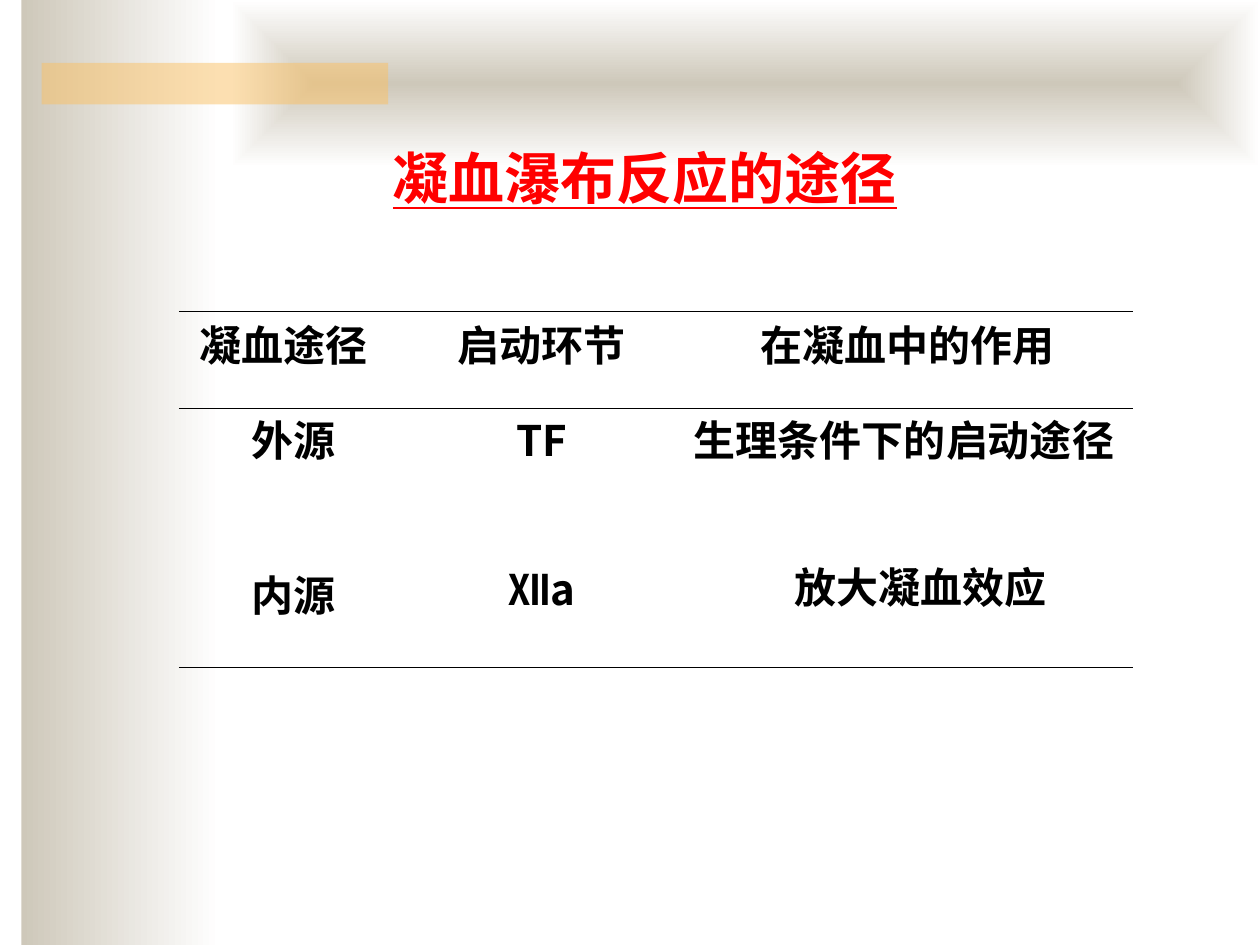
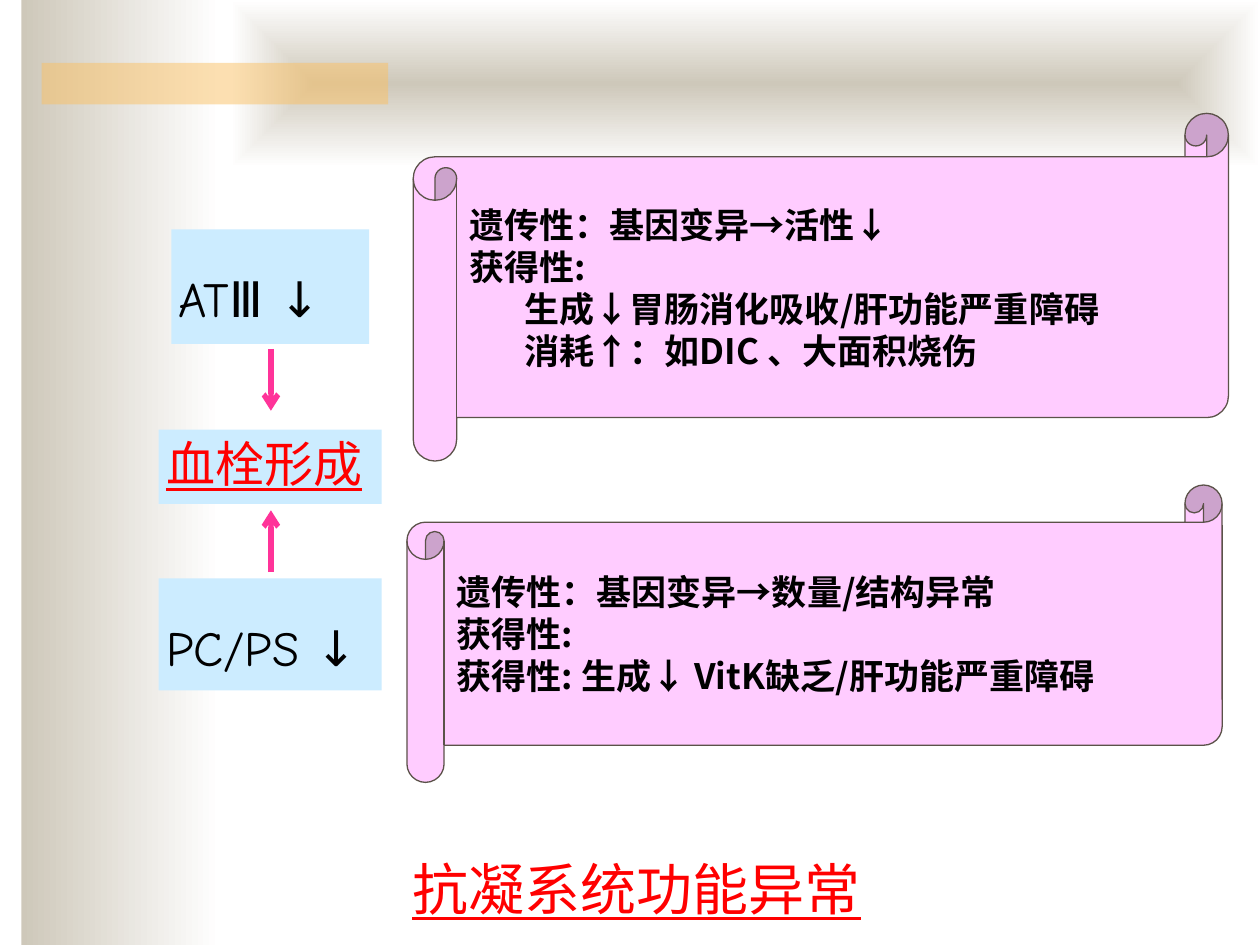
"""Build two slides on coagulation pathways and anticoagulation failure."""
from dataclasses import dataclass, field
from itertools import accumulate
from typing import Any, NamedTuple

from lxml import etree
from pptx import Presentation
from pptx import util as u
from pptx.dml import color
from pptx.enum import shapes, text
from pptx.oxml import ns


class Style(NamedTuple):
    latin: str
    size: int
    color: str
    bold: bool = False
    underline: bool = False


@dataclass(frozen=True)
class Theme:
    east_asian: str = "Noto Sans CJK SC"
    band: str = "CEC8BA"
    white: str = "FFFFFF"
    accent: str = "FAC164"
    label_fill: str = "CCECFF"
    scroll_fill: str = "FFCCFF"
    scroll_line: str = "5B5249"
    arrow: str = "FF3399"
    rule: str = "000000"
    title: Style = Style("Times New Roman", 32, "FF0000", True, True)
    closing_title: Style = Style("Noto Sans CJK SC", 32, "FF0000", False, True)
    cell: Style = Style("Noto Sans CJK SC", 24, "000000", True)
    label: Style = Style("Comic Neue", 28, "000000")
    outcome: Style = Style("Comic Neue", 28, "FF0000", False, True)
    detail: Style = Style("Noto Sans CJK SC", 20, "000000", True)


class Box(NamedTuple):
    left: float
    top: float
    width: float
    height: float

    def lengths(self) -> list[int]:
        return [u.Inches(value) for value in self]


class Entry(NamedTuple):
    words: str
    top: float = 0
    left: float = 0
    right: float = 0


class Label(NamedTuple):
    box: Box
    words: str
    style: Style
    spacing: float = 1.0


class Line(NamedTuple):
    words: str
    indent: float = 0


@dataclass(frozen=True)
class Scroll:
    box: Box
    lines: list[Line] = field(default_factory=list)


THEME = Theme()
SHAPE = shapes.MSO_SHAPE
TITLE_ONLY = 5
NO_TABLE_STYLE = "{2D5ABB26-0587-4C30-8999-92F81FD0307C}"

PATHWAYS = [
    [Entry("凝血途径", 0.01, right=0.16), Entry("启动环节", 0.01),
     Entry("在凝血中的作用", 0.01, left=0.05)],
    [Entry("外源"), Entry("TF"), Entry("生理条件下的启动途径")],
    [Entry("内源", 0.07), Entry("Ⅻa", 0.02), Entry("放大凝血效应", left=0.27)],
]
TABLE_LEFT, TABLE_TOP = 1.42, 2.47
COLUMN_WIDTHS = [1.82, 2.12, 3.63]
ROW_HEIGHTS = [0.77, 1.16, 0.9]
RULED_EDGES = [0, 1, 3]

LABELS = [
    Label(Box(1.26, 4.59, 1.77, 0.89), "PC/PS ↓", THEME.label, 1.6),
    Label(Box(1.36, 1.82, 1.57, 0.91), "ATⅢ ↓", THEME.label, 1.6),
    Label(Box(1.26, 3.41, 1.77, 0.59), "血栓形成", THEME.outcome),
]
SCROLLS = [
    Scroll(Box(3.28, 0.9, 6.47, 2.76), [
        Line("遗传性：基因变异→活性↓"),
        Line("获得性:"),
        Line("生成↓胃肠消化吸收/肝功能严重障碍", 0.44),
        Line("消耗↑：如DIC 、大面积烧伤", 0.44),
    ]),
    Scroll(Box(3.23, 3.85, 6.47, 2.36), [
        Line("遗传性：基因变异→数量/结构异常"),
        Line("获得性:"),
        Line("获得性: 生成↓ VitK缺乏/肝功能严重障碍"),
    ]),
]
ARROW_X = 2.15
ARROWS = [(2.77, 3.26), (4.54, 4.05)]


def rgb(value: str) -> color.RGBColor:
    """Turn a hex value into a colour."""
    return color.RGBColor.from_string(value)


def apply(target: Any, values: dict[str, Any]) -> None:
    """Set each named attribute on the target."""
    for name, value in values.items():
        setattr(target, name, value)


def add_child(parent: Any, tag: str, **attributes: str) -> Any:
    """Append an XML child with the given attributes."""
    return etree.SubElement(parent, ns.qn(tag), attributes)


def write(paragraph: Any, words: str, style: Style) -> None:
    """Write one styled run."""
    run = paragraph.add_run()
    run.text = words
    apply(run.font, {"name": style.latin, "size": u.Pt(style.size),
                     "bold": style.bold, "underline": style.underline})
    run.font.color.rgb = rgb(style.color)
    add_child(run.font._element, "a:ea", typeface=THEME.east_asian)


def set_frame(frame: Any, anchor: Any, side: float, end: float) -> None:
    """Set wrapping, anchor and insets of a text frame."""
    apply(frame, {"word_wrap": True, "auto_size": text.MSO_AUTO_SIZE.NONE,
                  "vertical_anchor": anchor,
                  "margin_left": u.Inches(side), "margin_right": u.Inches(side),
                  "margin_top": u.Inches(end), "margin_bottom": u.Inches(end)})


def add_shape(slide: Any, kind: Any, box: Box, fill: str) -> Any:
    """Add a plain filled shape without outline or shadow."""
    shape = slide.shapes.add_shape(kind, *box.lengths())
    shape.shadow.inherit = False
    shape.fill.solid()
    shape.fill.fore_color.rgb = rgb(fill)
    shape.line.fill.background()
    return shape


def add_line(slide: Any, start: tuple[float, float], end: tuple[float, float],
             hue: str, width: float) -> Any:
    """Add a straight line without shadow."""
    line = slide.shapes.add_connector(
        shapes.MSO_CONNECTOR.STRAIGHT, *map(u.Inches, start + end))
    line.line.color.rgb = rgb(hue)
    line.line.width = u.Pt(width)
    add_child(line.element.spPr, "a:effectLst")
    return line


def add_gradient(slide: Any, box: Box) -> Any:
    """Add a rectangle fading from the band colour to white."""
    shape = add_shape(slide, SHAPE.RECTANGLE, box, THEME.band)
    shape.fill.gradient()
    shape.fill.gradient_angle = 0
    for stop, value in zip(shape.fill.gradient_stops, (THEME.band, THEME.white)):
        stop.color.rgb = rgb(value)
    return shape


def decorate_master(presentation: Any, slide: Any) -> None:
    """Put the bands behind the placeholders of the slide master."""
    side = add_gradient(slide, Box(0.17, 0, 1.58, 7.5))
    top = add_gradient(slide, Box(1.83, 0, 8.17, 1.33))
    linear = top.element.find(".//" + ns.qn("a:lin"))
    gradient = linear.getparent()
    gradient.remove(linear)
    centre = add_child(gradient, "a:path", path="rect")
    add_child(centre, "a:fillToRect", l="50000", t="50000", r="50000", b="50000")
    accent = add_shape(slide, SHAPE.RECTANGLE, Box(0.33, 0.5, 2.75, 0.33), THEME.accent)
    add_child(accent.element.find(".//" + ns.qn("a:srgbClr")), "a:alpha", val="50000")
    tree = presentation.slide_master.shapes.element
    for index, shape in enumerate((side, top, accent)):
        shape.element.find(".//" + ns.qn("p:cNvPr")).set("id", str(20 + index))
        tree.insert(2 + index, shape.element)


def set_title(slide: Any, box: Box, words: str, style: Style,
              side: float = 0, end: float = 0) -> None:
    """Move, fill and format the title placeholder."""
    title = slide.shapes.title
    apply(title, dict(zip(("left", "top", "width", "height"), box.lengths())))
    set_frame(title.text_frame, text.MSO_ANCHOR.TOP, side, end)
    paragraph = title.text_frame.paragraphs[0]
    paragraph.alignment = text.PP_ALIGN.CENTER
    write(paragraph, words, style)


def add_pathway_table(slide: Any) -> None:
    """Add the three-rule table of coagulation pathways."""
    box = Box(TABLE_LEFT, TABLE_TOP, sum(COLUMN_WIDTHS), sum(ROW_HEIGHTS))
    table = slide.shapes.add_table(len(PATHWAYS), len(COLUMN_WIDTHS), *box.lengths()).table
    apply(table, {"first_row": False, "horz_banding": False})
    table._tbl.find(".//" + ns.qn("a:tableStyleId")).text = NO_TABLE_STYLE
    for column, width in zip(table.columns, COLUMN_WIDTHS):
        column.width = u.Inches(width)
    for row, height, entries in zip(table.rows, ROW_HEIGHTS, PATHWAYS):
        row.height = u.Inches(height)
        for cell, entry in zip(row.cells, entries):
            apply(cell, {"margin_left": u.Inches(entry.left),
                         "margin_right": u.Inches(entry.right),
                         "margin_top": u.Inches(entry.top), "margin_bottom": 0,
                         "vertical_anchor": text.MSO_ANCHOR.TOP})
            cell.fill.background()
            paragraph = cell.text_frame.paragraphs[0]
            paragraph.alignment = text.PP_ALIGN.CENTER
            write(paragraph, entry.words, THEME.cell)
    edges = list(accumulate(ROW_HEIGHTS, initial=TABLE_TOP))
    for index in RULED_EDGES:
        add_line(slide, (box.left, edges[index]), (box.left + box.width, edges[index]),
                 THEME.rule, 0.5)


def add_label(slide: Any, label: Label) -> None:
    """Add a blue label box."""
    shape = add_shape(slide, SHAPE.RECTANGLE, label.box, THEME.label_fill)
    set_frame(shape.text_frame, text.MSO_ANCHOR.TOP, 0.06, 0.03)
    paragraph = shape.text_frame.paragraphs[0]
    apply(paragraph, {"alignment": text.PP_ALIGN.LEFT, "line_spacing": label.spacing})
    write(paragraph, label.words, label.style)


def add_scroll(slide: Any, scroll: Scroll) -> None:
    """Add a pink scroll listing causes."""
    shape = add_shape(slide, SHAPE.HORIZONTAL_SCROLL, scroll.box, THEME.scroll_fill)
    shape.line.color.rgb = rgb(THEME.scroll_line)
    shape.line.width = u.Pt(0.75)
    frame = shape.text_frame
    set_frame(frame, text.MSO_ANCHOR.MIDDLE, 0.1, 0.05)
    for index, line in enumerate(scroll.lines):
        paragraph = frame.add_paragraph() if index else frame.paragraphs[0]
        paragraph.alignment = text.PP_ALIGN.LEFT
        paragraph._p.get_or_add_pPr().set("marL", str(u.Inches(line.indent)))
        write(paragraph, line.words, THEME.detail)


def build_pathways(slide: Any) -> None:
    """Fill the slide on coagulation pathways."""
    set_title(slide, Box(1.06, 1.14, 8.12, 1.07), "凝血瀑布反应的途径", THEME.title)
    add_pathway_table(slide)


def build_anticoagulation(slide: Any) -> None:
    """Fill the slide on anticoagulation failure."""
    set_title(slide, Box(2.34, 6.75, 5.42, 0.5), "抗凝系统功能异常",
              THEME.closing_title, 0.06, 0.03)
    for label in LABELS:
        add_label(slide, label)
    for scroll in SCROLLS:
        add_scroll(slide, scroll)
    for start, end in ARROWS:
        arrow = add_line(slide, (ARROW_X, start), (ARROW_X, end), THEME.arrow, 3)
        add_child(arrow.line._get_or_add_ln(), "a:tailEnd", type="arrow")


def main() -> None:
    """Build and save the presentation."""
    presentation = Presentation()
    apply(presentation, {"slide_width": u.Inches(10), "slide_height": u.Inches(7.5)})
    layout = presentation.slide_layouts[TITLE_ONLY]
    pathways, anticoagulation = [presentation.slides.add_slide(layout) for _ in range(2)]
    decorate_master(presentation, pathways)
    build_pathways(pathways)
    build_anticoagulation(anticoagulation)
    presentation.save("out.pptx")


if __name__ == "__main__":
    main()
